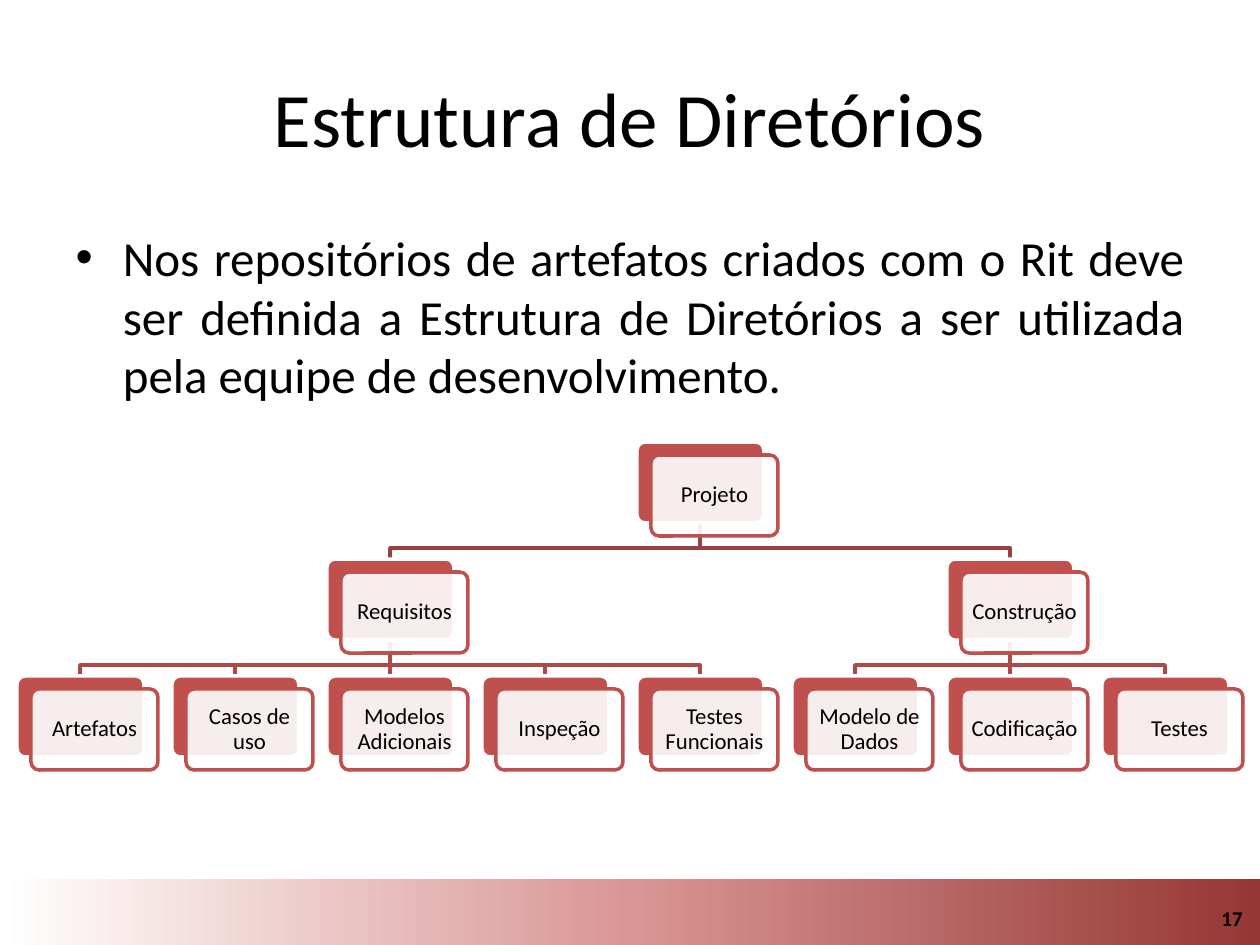
"""Build a slide with a title, one bullet and a directory tree."""
import copy
from dataclasses import dataclass
from typing import Optional

import pptx
import pptx.dml.color
import pptx.enum.shapes
import pptx.enum.text
import pptx.oxml.ns
import pptx.oxml.xmlchemy
import pptx.util

SCALE = 914400 / 126
WIDE, HIGH = 127, 81
LEFT, TOP = 17, 442
STEP, DROP = 155, 117
SHIFT, BEND = 14, 25
RED, WHITE, BLACK = "C0504D", "FFFFFF", "000000"
LINKS = ["9A403E", "AE4946"]
BAND = [(0, "953735"), (0.5, "D99694"), (1, WHITE)]
ALIGN = pptx.enum.text.PP_ALIGN
MIDDLE = pptx.enum.text.MSO_ANCHOR.MIDDLE
KIND = pptx.enum.shapes.MSO_SHAPE


@dataclass(frozen=True)
class Node:
    text: str
    col: int
    row: int
    above: Optional["Node"] = None

    @property
    def left(self) -> int:
        return LEFT + STEP * self.col

    @property
    def top(self) -> int:
        return TOP + DROP * self.row

    @property
    def mid(self) -> int:
        return self.left + WIDE // 2


ROOT = Node("Projeto", 4, 0)
REQS = Node("Requisitos", 2, 1, ROOT)
MAKE = Node("Construção", 6, 1, ROOT)
LEAVES = [
    ("Artefatos", REQS),
    ("Casos de uso", REQS),
    ("Modelos Adicionais", REQS),
    ("Inspeção", REQS),
    ("Testes Funcionais", REQS),
    ("Modelo de Dados", MAKE),
    ("Codificação", MAKE),
    ("Testes", MAKE),
]
NODES = [ROOT, REQS, MAKE] + [
    Node(text, col, 2, above) for col, (text, above) in enumerate(LEAVES)
]


def px(size: float) -> pptx.util.Emu:
    """Turn pixels into EMU."""
    return pptx.util.Emu(round(size * SCALE))


def tint(code: str) -> pptx.dml.color.RGBColor:
    """Turn a hex string into a colour."""
    return pptx.dml.color.RGBColor.from_string(code)


def place(shape, left: int, top: int, wide: int, high: int) -> None:
    """Move and size a shape."""
    shape.left, shape.top = px(left), px(top)
    shape.width, shape.height = px(wide), px(high)


def write(shape, text: str, size: int, align, bold: bool = False):
    """Write one run into a shape and return its paragraph."""
    shape.text_frame.word_wrap = True
    para = shape.text_frame.paragraphs[0]
    para.alignment = align
    run = para.add_run()
    run.text = text
    run.font.name, run.font.size = "Calibri", pptx.util.Pt(size)
    run.font.bold = bold
    run.font.color.rgb = tint(BLACK)
    return para


def ink(line, code: str) -> None:
    """Style a line."""
    line.color.rgb = tint(code)
    line.width = pptx.util.Pt(2)


def band(slide) -> None:
    """Draw the footer band and the page number."""
    rect = slide.shapes.add_shape(
        KIND.RECTANGLE, px(0), px(879), px(1260), px(69))
    rect.shadow.inherit = False
    rect.line.fill.background()
    rect.fill.gradient()
    stops = next(rect._element.spPr.iter(pptx.oxml.ns.qn("a:gsLst")))
    stops.append(copy.deepcopy(stops[0]))
    for stop, (spot, code) in zip(rect.fill.gradient_stops, BAND):
        stop.position = spot
        stop.color.rgb = tint(code)
    rect.fill.gradient_angle = 180
    page = slide.shapes.add_textbox(px(961), px(893), px(294), px(50))
    page.text_frame.vertical_anchor = MIDDLE
    write(page, "17", 12, ALIGN.RIGHT, True)


def link(slide, node: Node) -> None:
    """Join a node to the one above it."""
    start, turn = node.above.top + HIGH, node.above.top + HIGH + BEND
    if node.mid == node.above.mid:
        shape = slide.shapes.add_connector(
            pptx.enum.shapes.MSO_CONNECTOR.STRAIGHT,
            px(node.mid), px(start), px(node.mid), px(node.top))
        ink(shape.line, LINKS[node.above.row])
        shape._element.spPr.append(
            pptx.oxml.xmlchemy.OxmlElement("a:effectLst"))
    else:
        path = slide.shapes.build_freeform(node.above.mid, start, SCALE)
        path.add_line_segments(
            [(node.above.mid, turn), (node.mid, turn), (node.mid, node.top)],
            close=False)
        shape = path.convert_to_shape()
        shape.fill.background()
        shape.shadow.inherit = False
        ink(shape.line, LINKS[node.above.row])


def plate(slide, left: int, top: int, fill: str, edge: str):
    """Draw one rounded plate."""
    shape = slide.shapes.add_shape(
        KIND.ROUNDED_RECTANGLE, px(left), px(top), px(WIDE), px(HIGH))
    shape.adjustments[0] = 0.1
    shape.shadow.inherit = False
    shape.fill.solid()
    shape.fill.fore_color.rgb = tint(fill)
    ink(shape.line, edge)
    return shape


def box(slide, node: Node) -> None:
    """Draw a node as a red plate under a pale labelled one."""
    plate(slide, node.left, node.top, RED, WHITE)
    front = plate(slide, node.left + SHIFT, node.top + SHIFT - 1, WHITE, RED)
    code = next(front._element.spPr.iter(pptx.oxml.ns.qn("a:srgbClr")))
    alpha = pptx.oxml.xmlchemy.OxmlElement("a:alpha")
    alpha.set("val", "90000")
    code.append(alpha)
    frame = front.text_frame
    frame.margin_left = frame.margin_right = px(6)
    frame.margin_top = frame.margin_bottom = px(6)
    frame.vertical_anchor = MIDDLE
    para = write(front, node.text, 13, ALIGN.CENTER)
    para.line_spacing = 0.9


def main() -> None:
    """Build and save the deck."""
    deck = pptx.Presentation()
    deck.slide_width, deck.slide_height = px(1260), px(945)
    slide = deck.slides.add_slide(deck.slide_layouts[1])
    band(slide)
    title, body = slide.placeholders
    place(title, 63, 38, 1134, 157)
    title.text_frame.vertical_anchor = MIDDLE
    write(title, "Estrutura de Diretórios", 44, ALIGN.CENTER)
    place(body, 63, 221, 1134, 608)
    write(body, "Nos repositórios de artefatos criados com o Rit deve ser "
          "definida a Estrutura de Diretórios a ser utilizada pela equipe "
          "de desenvolvimento.", 28, ALIGN.JUSTIFY)
    for node in NODES:
        if node.above:
            link(slide, node)
    for node in NODES:
        box(slide, node)
    deck.save("out.pptx")


if __name__ == "__main__":
    main()
